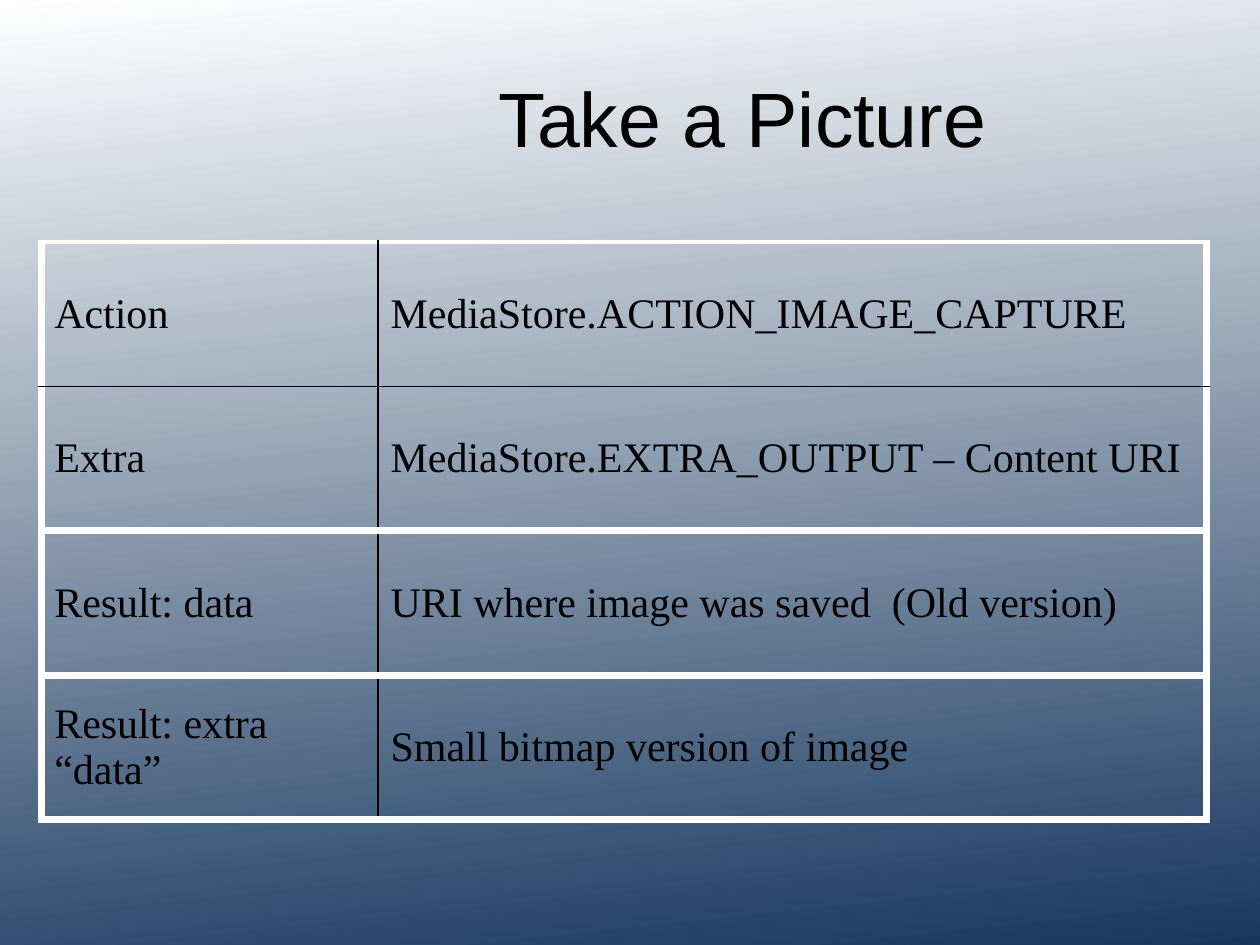
from lxml.etree import SubElement as Sub
from pptx import Presentation
from pptx.dml.color import RGBColor as Rgb
from pptx.enum.text import MSO_ANCHOR as Anchor, PP_ALIGN as Align
from pptx.oxml.ns import qn
from pptx.util import Cm, Pt

COLORS = {"ink": "000000", "navy": "17375E", "white": "FFFFFF"}
THIN = ("ink", 1)
EDGE = ("white", 3)
THICK = ("white", 4.5)
ROWS = [
    ("Action", "MediaStore.ACTION_IMAGE_CAPTURE"),
    ("Extra", "MediaStore.EXTRA_OUTPUT – Content URI"),
    ("Result: data", "URI where image was saved  (Old version)"),
    ("Result: extra “data”", "Small bitmap version of image"),
]
RULES = [EDGE, THIN, THICK, THICK, THICK]
WIDTHS = [6.78, 16.71]
HEIGHT = 2.91


def color(name):
    return Rgb.from_string(COLORS[name])


def paint(slide):
    fill = slide.background.fill
    fill.gradient()
    fill.gradient_angle = 96
    for stop, name in zip(fill.gradient_stops, ("navy", "white")):
        stop.color.rgb = color(name)


def write(frame, text, face, size, align):
    frame.word_wrap = True
    para = frame.paragraphs[0]
    para.text = text
    para.alignment = align
    para.font.name = face
    para.font.size = Pt(size)
    para.font.color.rgb = color("ink")


def add_title(slide, text):
    box = slide.shapes.add_textbox(Cm(5.82), Cm(0.76), Cm(18.31), Cm(3.18))
    box.text_frame.vertical_anchor = Anchor.MIDDLE
    write(box.text_frame, text, "Arial", 44, Align.CENTER)


def rule(cell, side, line):
    name, width = line
    props = cell._tc.get_or_add_tcPr()
    edge = Sub(props, qn(f"a:ln{side}"), w=str(Pt(width)))
    fill = Sub(edge, qn("a:solidFill"))
    Sub(fill, qn("a:srgbClr"), val=COLORS[name])


def add_grid(slide):
    frame = slide.shapes.add_table(
        len(ROWS), len(WIDTHS), Cm(0.84), Cm(4.88),
        Cm(sum(WIDTHS)), Cm(HEIGHT * len(ROWS)))
    table = frame.table
    table.first_row = table.horz_banding = False
    for col, width in zip(table.columns, WIDTHS):
        col.width = Cm(width)
    for r, texts in enumerate(ROWS):
        table.rows[r].height = Cm(HEIGHT)
        for c, text in enumerate(texts):
            cell = table.cell(r, c)
            cell.vertical_anchor = Anchor.MIDDLE
            write(cell.text_frame, text, "Times New Roman", 24, Align.LEFT)
            sides = (THICK, THIN) if c == 0 else (THIN, THICK)
            for side, line in zip("LRTB", (*sides, *RULES[r:r + 2])):
                rule(cell, side, line)
            cell.fill.background()


def main():
    deck = Presentation()
    deck.slide_width, deck.slide_height = Cm(25.4), Cm(19.05)
    slide = deck.slides.add_slide(deck.slide_layouts[6])
    paint(slide)
    add_title(slide, "Take a Picture")
    add_grid(slide)
    deck.save("out.pptx")


if __name__ == "__main__":
    main()
